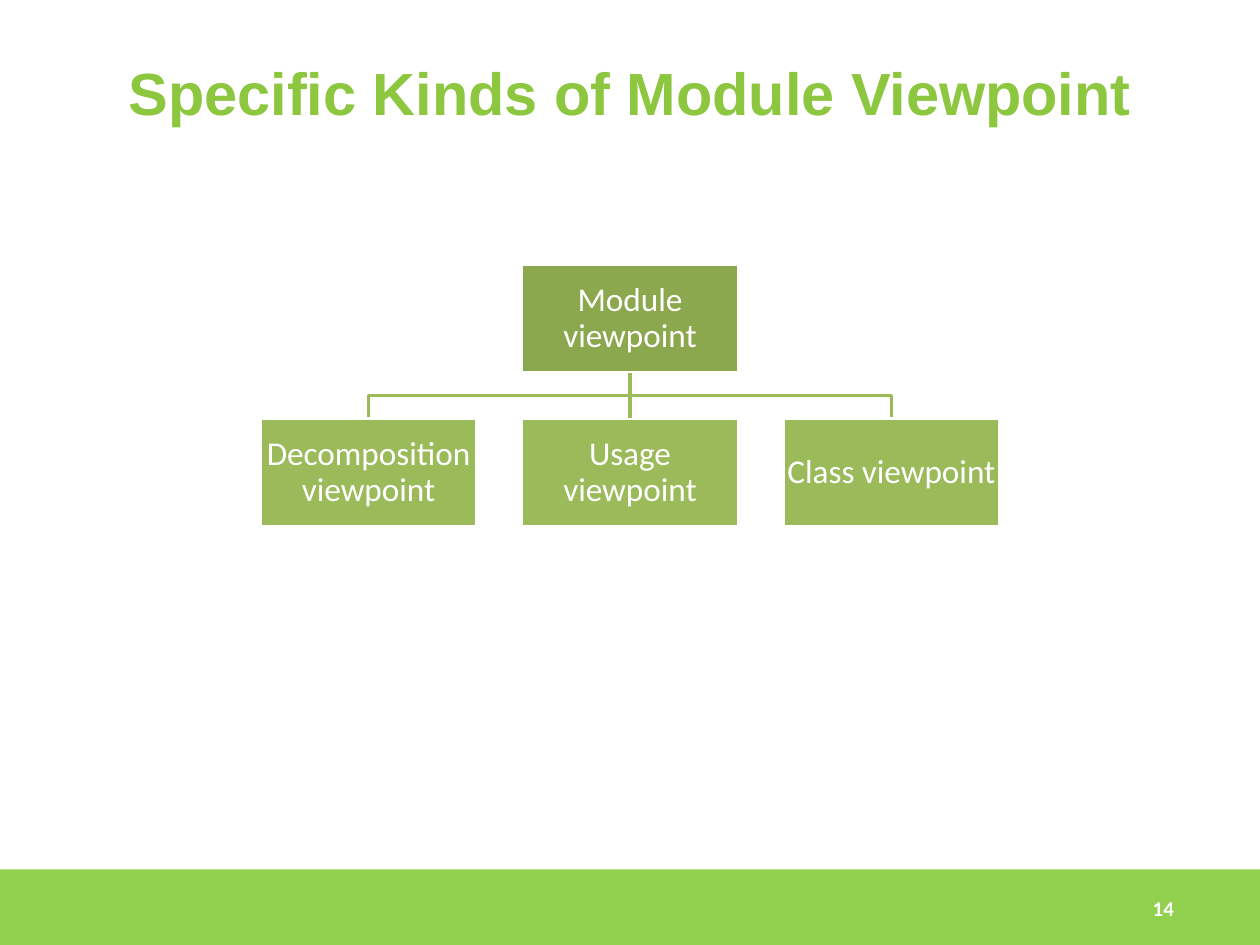
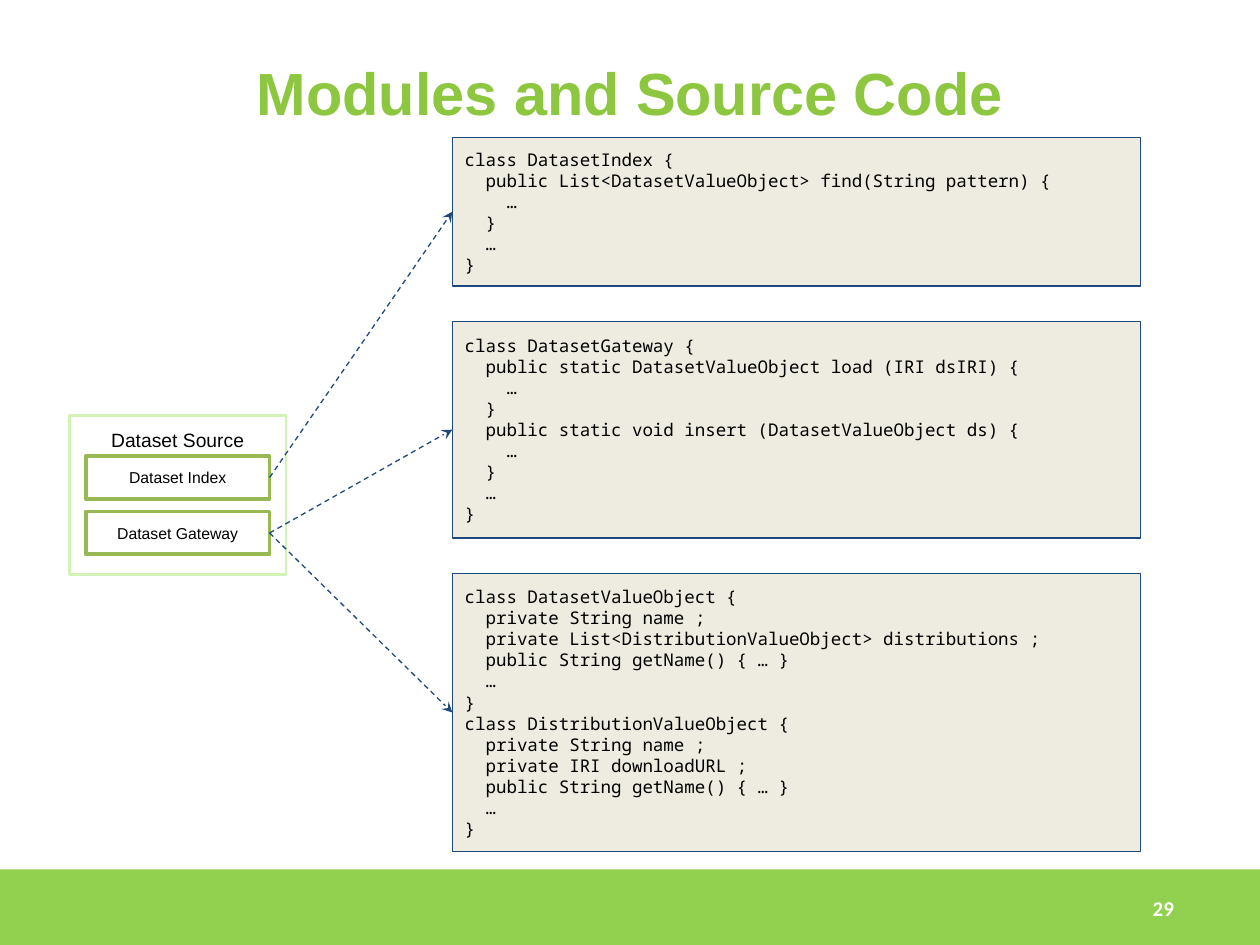
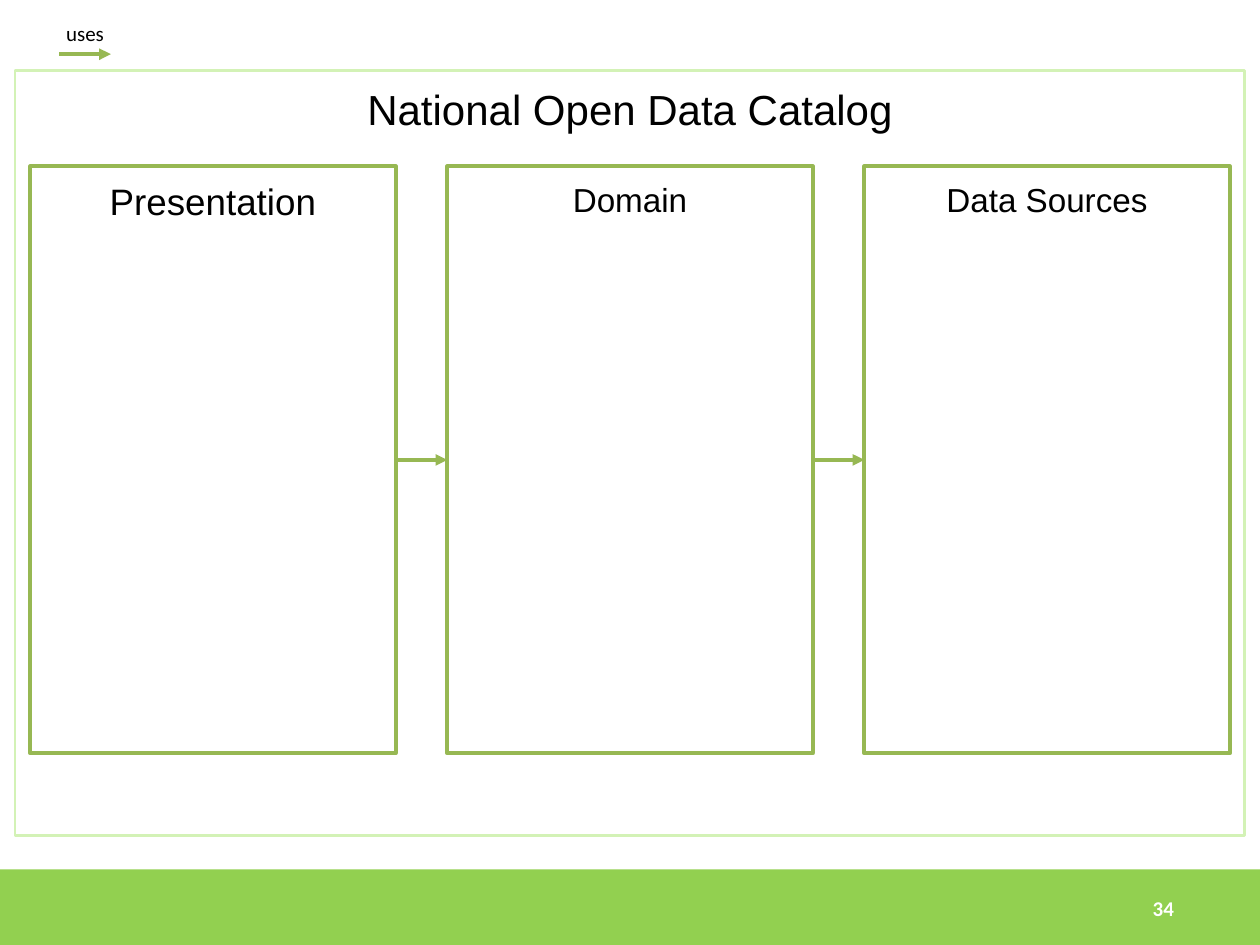
from itertools import pairwise

from pptx import Presentation
from pptx.dml.color import RGBColor
from pptx.enum.dml import MSO_LINE
from pptx.enum.shapes import MSO_CONNECTOR, MSO_SHAPE
from pptx.enum.text import MSO_ANCHOR, PP_ALIGN
from pptx.oxml.ns import qn
from pptx.util import Inches, Pt
from lxml.etree import SubElement

COLORS = {
    "title": "8DC63F", "band": "92D050", "white": "FFFFFF", "black": "000000",
    "root": "8CA84E", "node": "9BBB5B", "module": "97B853", "frame": "D3F2B6",
    "code": "EEECE1", "navy": "1F497D",
}
COLUMNS, ROWS = 100, 75
TOP, LEFT, BOTTOM, RIGHT = range(4)  # connection sites of a rectangle

CODE_PANELS = [
    (11.8, """class DatasetIndex {
  public List<DatasetValueObject> find(String pattern) {
    …
  }
  …
}"""),
    (17.2, """class DatasetGateway {
  public static DatasetValueObject load (IRI dsIRI) {
    …
  }
  public static void insert (DatasetValueObject ds) {
    …
  }
  …
}"""),
    (22.1, """class DatasetValueObject {
  private String name ;
  private List<DistributionValueObject> distributions ;
  public String getName() { … }
  …
}
class DistributionValueObject {
  private String name ;
  private IRI downloadURL ;
  public String getName() { … }
  …
}"""),
]


def rgb(name):
    return RGBColor.from_string(COLORS[name])


class Deck:
    """Slide style plus the current slide; lengths are grid columns and rows."""

    def __init__(self):
        self.prs = Presentation()
        self.prs.slide_width, self.prs.slide_height = Inches(10), Inches(7.5)
        self.s = None

    def x(self, columns):
        return round(self.prs.slide_width * columns / COLUMNS)

    def y(self, rows):
        return round(self.prs.slide_height * rows / ROWS)

    def area(self, left, top, width, height):
        return self.x(left), self.y(top), self.x(width), self.y(height)

    def slide(self, number, title=None):
        self.s = self.prs.slides.add_slide(self.prs.slide_layouts[6])
        self.box((0, 69, 100, 6), fill="band")
        self.label((90.5, 69.2, 8.3, 5.8), str(number), size=12, font="Calibri",
                   color="white", bold=True, align=PP_ALIGN.LEFT)
        if title:
            self.label((5, 3, 90, 8.5), title, size=34, color="title", bold=True)

    def set_text(self, sp, text, size, font="Arial", color="black", bold=False,
                 align=PP_ALIGN.CENTER, anchor=MSO_ANCHOR.MIDDLE, inset=0.1, spacing=None):
        tf = sp.text_frame
        tf.word_wrap = True
        tf.vertical_anchor = anchor
        tf.margin_left = tf.margin_right = tf.margin_top = tf.margin_bottom = Inches(inset)
        tf.text = text
        for p in tf.paragraphs:
            p.alignment = align
            p.line_spacing = spacing
            p.font.size, p.font.name, p.font.bold = Pt(size), font, bold
            p.font.color.rgb = rgb(color)

    def label(self, area, text, **style):
        self.set_text(self.s.shapes.add_textbox(*self.area(*area)), text, **style)

    def box(self, area, text=None, fill=None, line=None, weight=1.5,
            kind=MSO_SHAPE.RECTANGLE, **style):
        sp = self.s.shapes.add_shape(kind, *self.area(*area))
        sp.shadow.inherit = False
        if fill:
            sp.fill.solid()
            sp.fill.fore_color.rgb = rgb(fill)
        else:
            sp.fill.background()
        if line:
            self.stroke(sp, line, weight)
        else:
            sp.line.fill.background()
        if text:
            self.set_text(sp, text, **style)
        return sp

    def frame(self, area, text, size):
        return self.box(area, text, line="frame", size=size, anchor=MSO_ANCHOR.TOP)

    def module(self, area, text, size, anchor=MSO_ANCHOR.MIDDLE):
        return self.box(area, text, line="module", weight=2.25, size=size, anchor=anchor)

    def stroke(self, sp, color, weight):
        sp.line.color.rgb = rgb(color)
        sp.line.width = Pt(weight)

    def polyline(self, points, color, weight):
        first, *rest = [(self.x(x), self.y(y)) for x, y in points]
        fb = self.s.shapes.build_freeform(*first)
        fb.add_line_segments(rest, close=False)
        sp = fb.convert_to_shape()
        sp.shadow.inherit = False
        sp.fill.background()
        self.stroke(sp, color, weight)

    def line(self, start, end, color, weight, head=None, dashed=False):
        c = self.s.shapes.add_connector(
            MSO_CONNECTOR.STRAIGHT, self.x(start[0]), self.y(start[1]),
            self.x(end[0]), self.y(end[1]))
        self.stroke(c, color, weight)
        if dashed:
            c.line.dash_style = MSO_LINE.DASH
        if head:
            SubElement(c.get_or_add_ln(), qn("a:tailEnd"), type=head)
        SubElement(c.element.spPr, qn("a:effectLst"))
        return c

    def link(self, source, source_site, target, target_site, **style):
        """Draw a line glued to connection sites of two shapes."""
        c = self.line((0, 0), (0, 0), **style)
        c.begin_connect(source, source_site)
        c.end_connect(target, target_site)


def viewpoint_tree(deck):
    deck.slide(14, "Specific Kinds of Module Viewpoint")
    width, height, pitch, middle = 17.2, 8.6, 20.75, 50
    root_top, child_top = 21, 33.2
    root_bottom = root_top + height
    bend = (root_bottom + child_top) / 2

    def node(center, top, text, fill):
        return deck.box((center - width / 2, top, width, height), text, fill=fill,
                        line="white", weight=2, size=19, font="Calibri",
                        color="white", inset=0.01, spacing=0.9)

    centers = [middle + i * pitch for i in (-1, 0, 1)]
    for center in (centers[0], centers[-1]):
        deck.polyline([(middle, root_bottom), (middle, bend),
                       (center, bend), (center, child_top)], "node", 2)
    root = node(middle, root_top, "Module viewpoint", "root")
    names = ("Decomposition viewpoint", "Usage viewpoint", "Class viewpoint")
    children = [node(c, child_top, name, "node") for c, name in zip(centers, names)]
    deck.link(children[1], TOP, root, BOTTOM, color="node", weight=2)


def source_code(deck):
    deck.slide(29, "Modules and Source Code")
    deck.frame((5.5, 33, 17.2, 12.6), "Dataset Source", 11)
    index, gateway = [deck.module((6.8, 36.2 + i * 4.4, 14.6, 3.4), name, 9)
                      for i, name in enumerate(("Dataset Index", "Dataset Gateway"))]
    top, gap = 10.9, 2.8
    for source, (height, code) in zip((index, gateway, gateway), CODE_PANELS):
        panel = deck.box((35.9, top, 54.6, height), code, fill="code", line="navy",
                         weight=0.75, kind=MSO_SHAPE.FLOWCHART_PROCESS, size=10,
                         font="Noto Sans Mono", align=PP_ALIGN.LEFT)
        deck.link(source, RIGHT, panel, LEFT, color="navy", weight=0.75,
                  head="stealth", dashed=True)
        top += height + gap


def catalog_layers(deck):
    deck.slide(34)
    deck.frame((1.2, 5.6, 97.6, 60.7), "National Open Data Catalog", 24)
    uses = {"color": "module", "weight": 2.25, "head": "triangle"}
    layers = [deck.module((2.4 + i * 33.1, 13.2, 29, 46.6), name, size, MSO_ANCHOR.TOP)
              for i, (name, size) in enumerate(
                  (("Presentation", 21), ("Domain", 19), ("Data Sources", 19)))]
    for user, used in pairwise(layers):
        deck.link(user, RIGHT, used, LEFT, **uses)
    deck.line((4.7, 4.3), (8.8, 4.3), **uses)
    deck.label((2.9, 0.6, 7.7, 3.7), "uses", size=12, font="Calibri",
               anchor=MSO_ANCHOR.TOP)


def main():
    deck = Deck()
    viewpoint_tree(deck)
    source_code(deck)
    catalog_layers(deck)
    deck.prs.save("out.pptx")


if __name__ == "__main__":
    main()
